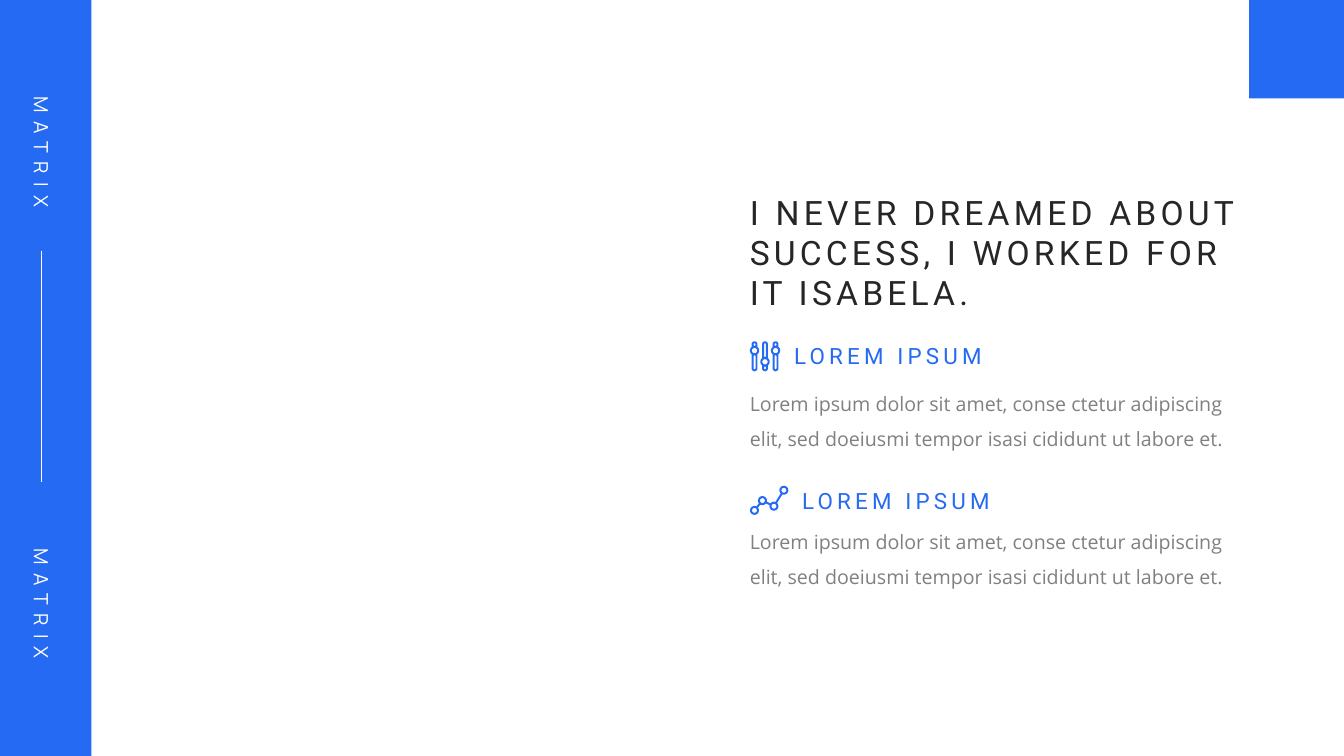
from math import acos, atan2, cos, pi, sin

from lxml import etree
from pptx import Presentation
from pptx.dml.color import RGBColor
from pptx.enum.shapes import MSO_CONNECTOR, MSO_SHAPE
from pptx.enum.text import MSO_AUTO_SIZE, PP_ALIGN
from pptx.oxml.ns import qn
from pptx.util import Pt

RECT = MSO_SHAPE.RECTANGLE
LINE = MSO_CONNECTOR.STRAIGHT
GROW = MSO_AUTO_SIZE.SHAPE_TO_FIT_TEXT
LEFT, CENTER, RIGHT = PP_ALIGN.LEFT, PP_ALIGN.CENTER, PP_ALIGN.RIGHT

COLORS = {"blue": "256AF3", "white": "FFFFFF", "dark": "262626", "gray": "808080"}
BODY = ("Lorem ipsum dolor sit amet, conse ctetur adipiscing elit, "
        "sed doeiusmi tempor isasi cididunt ut labore et.")


def color(name):
    return RGBColor.from_string(COLORS[name])


def paint(shape):
    """Give a shape the plain blue fill without line or shadow."""
    shape.shadow.inherit = False
    shape.fill.solid()
    shape.fill.fore_color.rgb = color("blue")
    shape.line.fill.background()


def add_rect(slide, x, y, w, h):
    paint(slide.shapes.add_shape(RECT, Pt(x), Pt(y), Pt(w), Pt(h)))


def add_text(slide, box, text, font, size, tone, align=LEFT, track=0,
             lead=None, wrap=True):
    """Add one paragraph; track is the letter spacing in points."""
    shape = slide.shapes.add_textbox(*map(Pt, box))
    frame = shape.text_frame
    frame.text = text
    frame.word_wrap = wrap
    frame.auto_size = GROW
    para = frame.paragraphs[0]
    para.alignment = align
    if lead:
        para.line_spacing = lead
    run = para.runs[0]
    run.font.name = font
    run.font.size = Pt(size)
    run.font.color.rgb = color(tone)
    if track:
        run._r.get_or_add_rPr().set("spc", str(track * 100))
    return shape


def arc(x, y, r, start, end, steps=16):
    turn = (end - start) / steps
    return [(x + r * cos(start + i * turn), y + r * sin(start + i * turn))
            for i in range(steps + 1)]


def pill(x, top, end, r):
    return arc(x, top + r, r, pi, 2 * pi) + arc(x, end - r, r, 0, pi)


def add_form(slide, x, y, rings):
    """Draw closed outlines as one shape, the inner ones being holes."""
    rings = [[(Pt(x + px), Pt(y + py)) for px, py in ring] for ring in rings]
    form = slide.shapes.build_freeform(*rings[0][0])
    for i, ring in enumerate(rings):
        if i:
            form.move_to(*ring[0])
        form.add_line_segments(ring[1:], close=True)
    paint(form.convert_to_shape())


def add_sliders(slide, x, y):
    high, mid, stem, knob, bore = 21.4, 3.25, 2.1, 3.3, 0.7
    bend = acos(stem / knob)
    for i, at in enumerate((6.6, 14.6, 6.6)):
        edge = (arc(mid, stem, stem, pi, 2 * pi)
                + arc(mid, at, knob, -bend, bend)
                + arc(mid, high - stem, stem, 0, pi)
                + arc(mid, at, knob, pi - bend, pi + bend))
        add_form(slide, x + 7.5 * i, y, [
            edge,
            pill(mid, 1.4, at - 3.4, bore),
            pill(mid, at + 3.4, high - 1.4, bore),
            arc(mid, at, 1.9, 0, 2 * pi)])


def add_trend(slide, x, y):
    dots = [(3.2, 17.8), (8.9, 10.8), (17.1, 14.8), (24.2, 3.4)]
    outer, inner, gap = 3.2, 1.75, 0.22
    walk = dots + dots[-2:0:-1]
    edge = []
    for i, (cx, cy) in enumerate(walk):
        px, py = walk[i - 1]
        nx, ny = walk[(i + 1) % len(walk)]
        start = atan2(py - cy, px - cx) + gap
        end = atan2(ny - cy, nx - cx) - gap
        edge += arc(cx, cy, outer, start, start + (end - start) % (2 * pi))
    add_form(slide, x, y, [edge] + [arc(*dot, inner, 0, 2 * pi) for dot in dots])


def add_side(slide, x, y, w, h):
    add_rect(slide, x, y, w, h)
    mid = x + w / 2 - 2
    for top in (96.5, 419):
        label = add_text(slide, (mid - 70.5, y + top, 141, 24.5), "MATRIX",
                         "Manrope", 14, "white", CENTER, 6)
        label.rotation = 90
    rule = slide.shapes.add_connector(LINE, Pt(mid), Pt(y + 179.3),
                                      Pt(mid), Pt(y + 344.2))
    rule.line.color.rgb = color("white")
    rule.line.width = Pt(0.5)
    etree.SubElement(rule._element.spPr, qn("a:effectLst"))


def add_item(slide, x, y, icon, shift, drop):
    """Place icon, heading and body; shift and drop offset the last two."""
    icon(slide, x + 7.2, y + 2.6)
    add_text(slide, (x + shift, y, 151.2, 26.6), "LOREM IPSUM", "Roboto", 16,
             "blue", RIGHT, 3, wrap=False)
    add_text(slide, (x, y + drop, 365.8, 55.4), BODY, "Open Sans", 14,
             "gray", lead=1.5)


def add_main(slide, x, y, w):
    add_text(slide, (x, y, w, 94.3),
             "I NEVER DREAMED ABOUT SUCCESS, I WORKED FOR IT ISABELA.",
             "Roboto", 24, "dark", track=3)
    add_item(slide, x, y + 108, add_sliders, 28.8, 26.6)
    add_item(slide, x, y + 211, add_trend, 34.5, 22.3)


def main():
    deck = Presentation()
    deck.slide_width, deck.slide_height = Pt(960), Pt(540)
    slide = deck.slides.add_slide(deck.slide_layouts[6])
    add_side(slide, -2.4, 0, 67.7, 540)
    add_rect(slide, 892.3, 0, 67.7, 70.2)
    add_main(slide, 528.5, 133.2, 366.5)
    deck.save("out.pptx")


if __name__ == "__main__":
    main()
